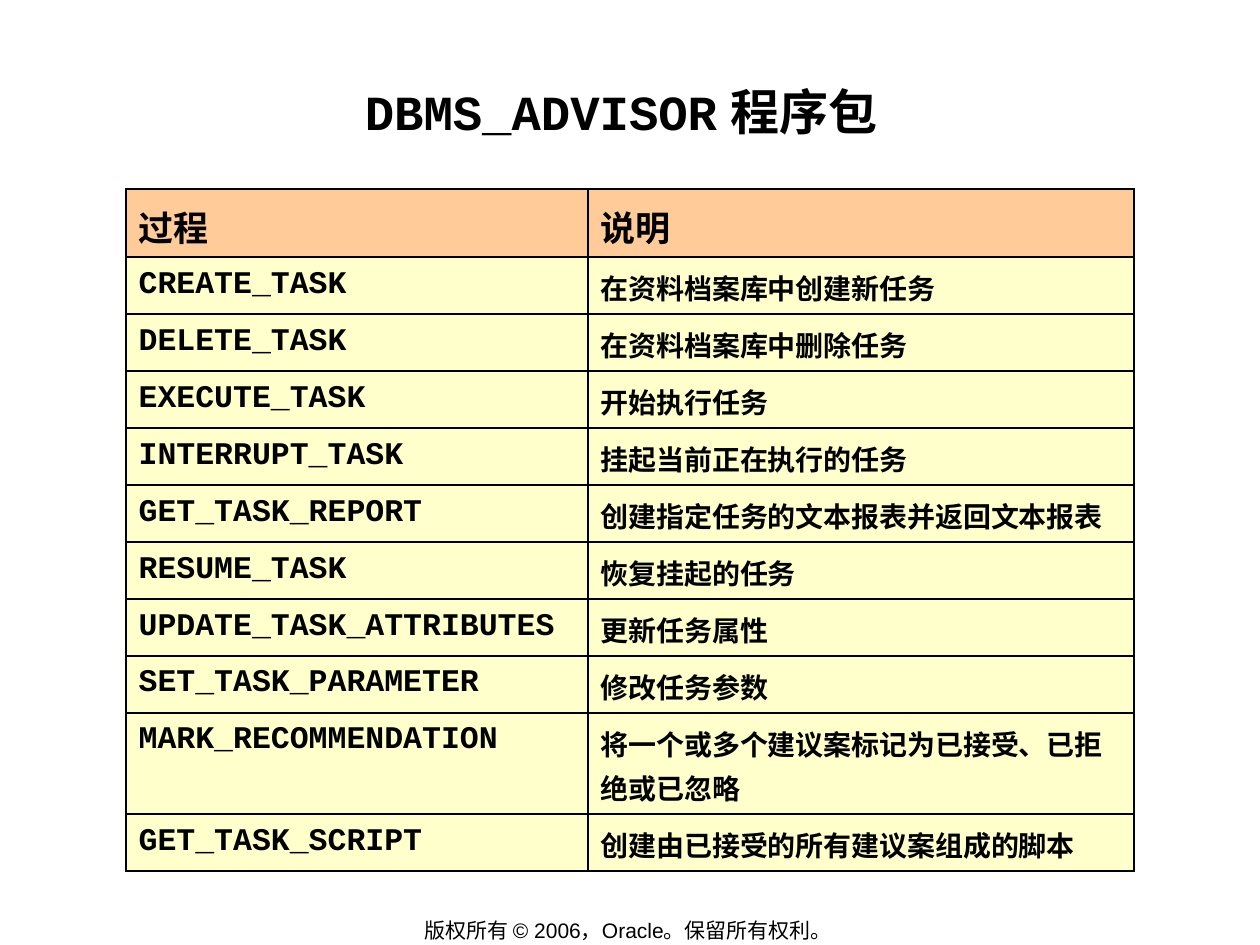
from lxml import etree
from pptx import Presentation
from pptx.dml.color import RGBColor
from pptx.enum import text
from pptx.oxml.ns import qn
from pptx.util import Pt

BLACK = RGBColor(0x00, 0x00, 0x00)
ORANGE = RGBColor(0xFF, 0xCC, 0x99)
CREAM = RGBColor(0xFF, 0xFF, 0xCC)

SANS, MONO, CJK = "Arial", "Courier New", "Noto Sans CJK SC"
BORDER = Pt(1.08)

HEADERS = ("过程", "说明")
PROCEDURES = [
    ("CREATE_TASK", "在资料档案库中创建新任务"),
    ("DELETE_TASK", "在资料档案库中删除任务"),
    ("EXECUTE_TASK", "开始执行任务"),
    ("INTERRUPT_TASK", "挂起当前正在执行的任务"),
    ("GET_TASK_REPORT", "创建指定任务的文本报表并返回文本报表"),
    ("RESUME_TASK", "恢复挂起的任务"),
    ("UPDATE_TASK_ATTRIBUTES", "更新任务属性"),
    ("SET_TASK_PARAMETER", "修改任务参数"),
    ("MARK_RECOMMENDATION", "将一个或多个建议案标记为已接受、已拒绝或已忽略"),
    ("GET_TASK_SCRIPT", "创建由已接受的所有建议案组成的脚本"),
]


def add_text(p, content, size, font=CJK, bold=True, align=None, spacing=1.1):
    p.alignment = align
    p.line_spacing = spacing
    r = p.add_run()
    r.text = content
    f = r.font
    f.size, f.name, f.bold = Pt(size), font, bold
    f.color.rgb = BLACK
    ea = etree.SubElement(r._r.get_or_add_rPr(), qn("a:ea"))
    ea.set("typeface", CJK)


def add_box(s, box, inset_x, inset_y, anchor, wrap):
    tf = s.shapes.add_textbox(*map(Pt, box)).text_frame
    tf.margin_left = tf.margin_right = Pt(inset_x)
    tf.margin_top = tf.margin_bottom = Pt(inset_y)
    tf.vertical_anchor, tf.word_wrap = anchor, wrap
    return tf.paragraphs[0]


def add_title(s, box):
    p = add_box(s, box, 0.72, 0.72, text.MSO_ANCHOR.TOP, True)
    for content, font in (("DBMS_ADVISOR", MONO), (" 程序包", SANS)):
        add_text(p, content, 28, font, align=text.PP_ALIGN.CENTER)


def add_footer(s, box):
    p = add_box(s, box, 7.2, 3.6, text.MSO_ANCHOR.MIDDLE, False)
    add_text(p, "版权所有 © 2006，Oracle。保留所有权利。 ", 12, SANS, bold=False,
             align=text.PP_ALIGN.CENTER, spacing=1.0)


def set_borders(cell):
    tcPr = cell._tc.get_or_add_tcPr()
    for i, side in enumerate(("lnL", "lnR", "lnT", "lnB")):
        ln = etree.Element(qn(f"a:{side}"), w=str(BORDER))
        fill = etree.SubElement(ln, qn("a:solidFill"))
        etree.SubElement(fill, qn("a:srgbClr"), val=str(BLACK))
        tcPr.insert(i, ln)


def fill_cell(cell, content, color, size, font=CJK):
    cell.fill.solid()
    cell.fill.fore_color.rgb = color
    set_borders(cell)
    add_text(cell.text_frame.paragraphs[0], content, size, font)


def add_procedure_table(s, box):
    left, top, width, height = box
    table = s.shapes.add_table(len(PROCEDURES) + 1, 2, Pt(left), Pt(top),
                               Pt(width), Pt(height)).table
    name_width = 264
    table.columns[0].width = Pt(name_width)
    table.columns[1].width = Pt(width - name_width)

    table.rows[0].height = Pt(39)
    for col, header in enumerate(HEADERS):
        fill_cell(table.cell(0, col), header, ORANGE, 20)
    for row, (name, description) in enumerate(PROCEDURES, start=1):
        two_lines = len(description) > 20
        table.rows[row].height = Pt(57.8 if two_lines else 32.57)
        fill_cell(table.cell(row, 0), name, CREAM, 18, MONO)
        fill_cell(table.cell(row, 1), description, CREAM, 16)


def main():
    prs = Presentation()
    prs.slide_width, prs.slide_height = Pt(720), Pt(540)
    s = prs.slides.add_slide(prs.slide_layouts[6])
    add_footer(s, (198.5, 524, 323.5, 15))
    add_title(s, (67, 42.5, 576, 69))
    add_procedure_table(s, (72, 108, 576, 390))
    prs.save("out.pptx")


if __name__ == "__main__":
    main()
